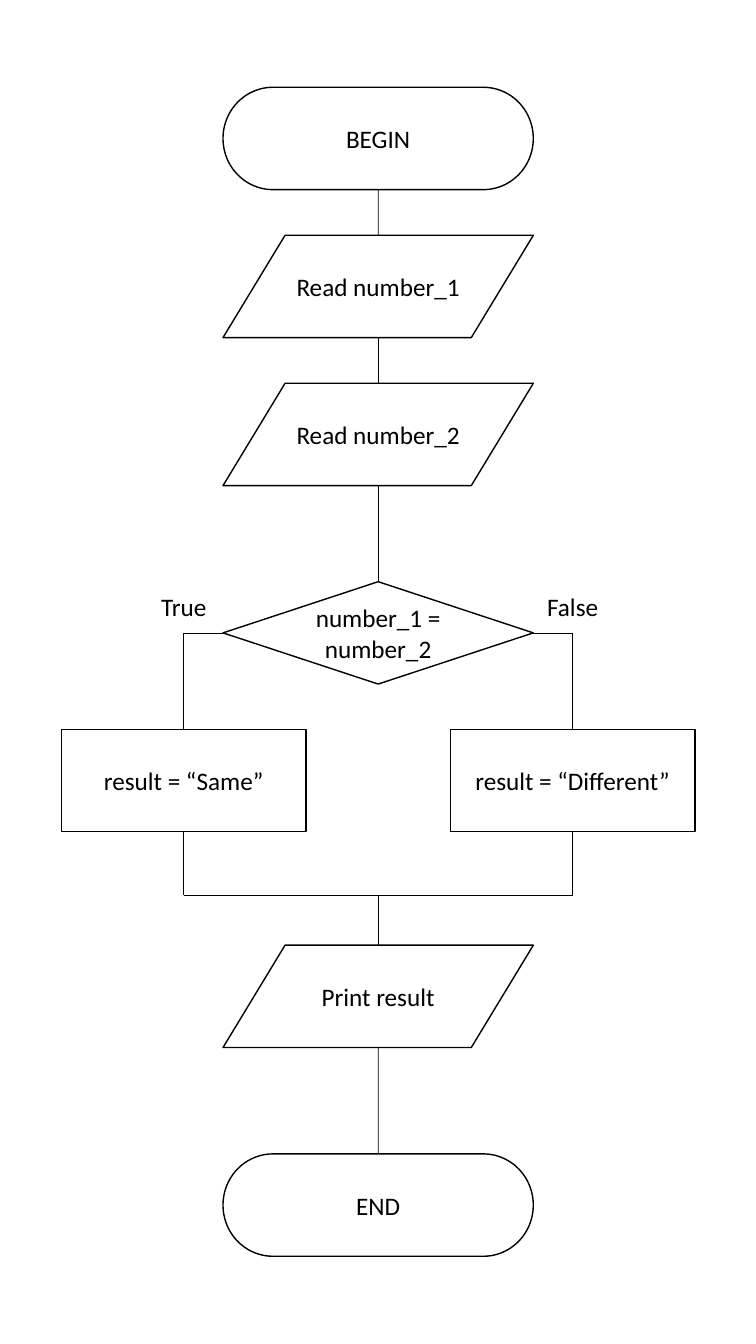
import pptx
import pptx.dml.color
import pptx.enum.shapes
import pptx.enum.text
import pptx.oxml
import pptx.oxml.ns
import pptx.util
from pptx.util import Cm

SHAPE = pptx.enum.shapes.MSO_SHAPE
TOP, LEFT, BOTTOM, RIGHT = range(4)
INK, PAPER = "000000", "FFFFFF"
STEP_WIDTH, STEP_HEIGHT = 7.82, 2.58


def colour(hex_code):
    """Turn a hex string into a colour."""
    return pptx.dml.color.RGBColor.from_string(hex_code)


def write(frame, words):
    """Write one centred line of text into a text frame."""
    frame.word_wrap = True
    paragraph = frame.paragraphs[0]
    paragraph.text = words
    paragraph.alignment = pptx.enum.text.PP_ALIGN.CENTER
    paragraph.font.name = "Calibri"
    paragraph.font.size = pptx.util.Pt(18)
    paragraph.font.color.rgb = colour(INK)


def add_step(slide, kind, words, centre, top, width=STEP_WIDTH):
    """Draw one outlined flowchart step centred on a vertical axis."""
    step = slide.shapes.add_shape(
        kind, Cm(centre - width / 2), Cm(top), Cm(width), Cm(STEP_HEIGHT))
    step.shadow.inherit = False
    step.fill.solid()
    step.fill.fore_color.rgb = colour(PAPER)
    step.line.color.rgb = colour(INK)
    step.line.width = pptx.util.Pt(1)
    step.text_frame.vertical_anchor = pptx.enum.text.MSO_ANCHOR.MIDDLE
    write(step.text_frame, words)
    return step


def add_link(slide, start, finish, begin=None, end=None):
    """Draw a thin line, joined to (step, side) pairs where given."""
    link = slide.shapes.add_connector(
        pptx.enum.shapes.MSO_CONNECTOR.STRAIGHT,
        *(Cm(length) for length in (*start, *finish)))
    link.line.color.rgb = colour(INK)
    link.line.width = pptx.util.Pt(0.5)
    properties = link._element.spPr
    properties.append(pptx.oxml.parse_xml(
        f"<a:effectLst {pptx.oxml.ns.nsdecls('a')}/>"))
    if begin:
        link.begin_connect(*begin)
    if end:
        link.end_connect(*end)


def add_answer(slide, words, centre, top):
    """Label one way out of the decision."""
    width = 2.08
    label = slide.shapes.add_textbox(
        Cm(centre - width / 2), Cm(top), Cm(width), Cm(1.02))
    write(label.text_frame, words)


def draw_input(slide, centre, top, bottom):
    """Draw the start and both readings, with a line down to the bottom."""
    pitch = 3.73
    steps = [(SHAPE.FLOWCHART_TERMINATOR, "BEGIN"),
             (SHAPE.FLOWCHART_DATA, "Read number_1"),
             (SHAPE.FLOWCHART_DATA, "Read number_2")]
    for index, (kind, words) in enumerate(steps):
        step_top = top + index * pitch
        step = add_step(slide, kind, words, centre, step_top)
        is_last = index == len(steps) - 1
        add_link(slide, (centre, step_top + STEP_HEIGHT),
                 (centre, bottom if is_last else step_top + pitch),
                 begin=(step, BOTTOM) if index == 0 else None)


def draw_decision(slide, centre, top, bottom):
    """Draw the comparison and its two branches, which meet at the bottom."""
    reach, branch_top = 4.9, top + 3.72
    middle = top + STEP_HEIGHT / 2
    comparison = add_step(slide, SHAPE.FLOWCHART_DECISION,
                          "number_1 = number_2", centre, top)
    branches = [(-1, LEFT, "True", "result = “Same”"),
                (1, RIGHT, "False", "result = “Different”")]
    for sign, side, answer, words in branches:
        axis = centre + sign * reach
        result = add_step(slide, SHAPE.FLOWCHART_PROCESS, words, axis,
                          branch_top, 6.16)
        add_answer(slide, answer, axis, top + 0.12)
        add_link(slide, (centre + sign * STEP_WIDTH / 2, middle),
                 (axis, middle), begin=(comparison, side))
        add_link(slide, (axis, middle), (axis, branch_top),
                 end=(result, TOP))
        add_link(slide, (axis, branch_top + STEP_HEIGHT), (axis, bottom),
                 begin=(result, BOTTOM))
        add_link(slide, (axis, bottom), (centre, bottom))


def draw_output(slide, centre, top, bottom):
    """Draw the printing step and the end between top and bottom."""
    print_top, end_top = top + 1.26, bottom - STEP_HEIGHT
    add_step(slide, SHAPE.FLOWCHART_DATA, "Print result", centre, print_top)
    end = add_step(slide, SHAPE.FLOWCHART_TERMINATOR, "END", centre, end_top)
    add_link(slide, (centre, top), (centre, print_top))
    add_link(slide, (centre, print_top + STEP_HEIGHT), (centre, end_top),
             end=(end, TOP))


def main():
    """Build the flowchart slide and save it."""
    deck = pptx.Presentation()
    deck.slide_width, deck.slide_height = Cm(19.05), Cm(33.87)
    slide = deck.slides.add_slide(deck.slide_layouts[6])
    centre, comparison_top, merge = 9.53, 14.66, 22.56
    draw_input(slide, centre, 2.2, comparison_top)
    draw_decision(slide, centre, comparison_top, merge)
    draw_output(slide, centre, merge, 31.66)
    deck.save("out.pptx")


if __name__ == "__main__":
    main()
